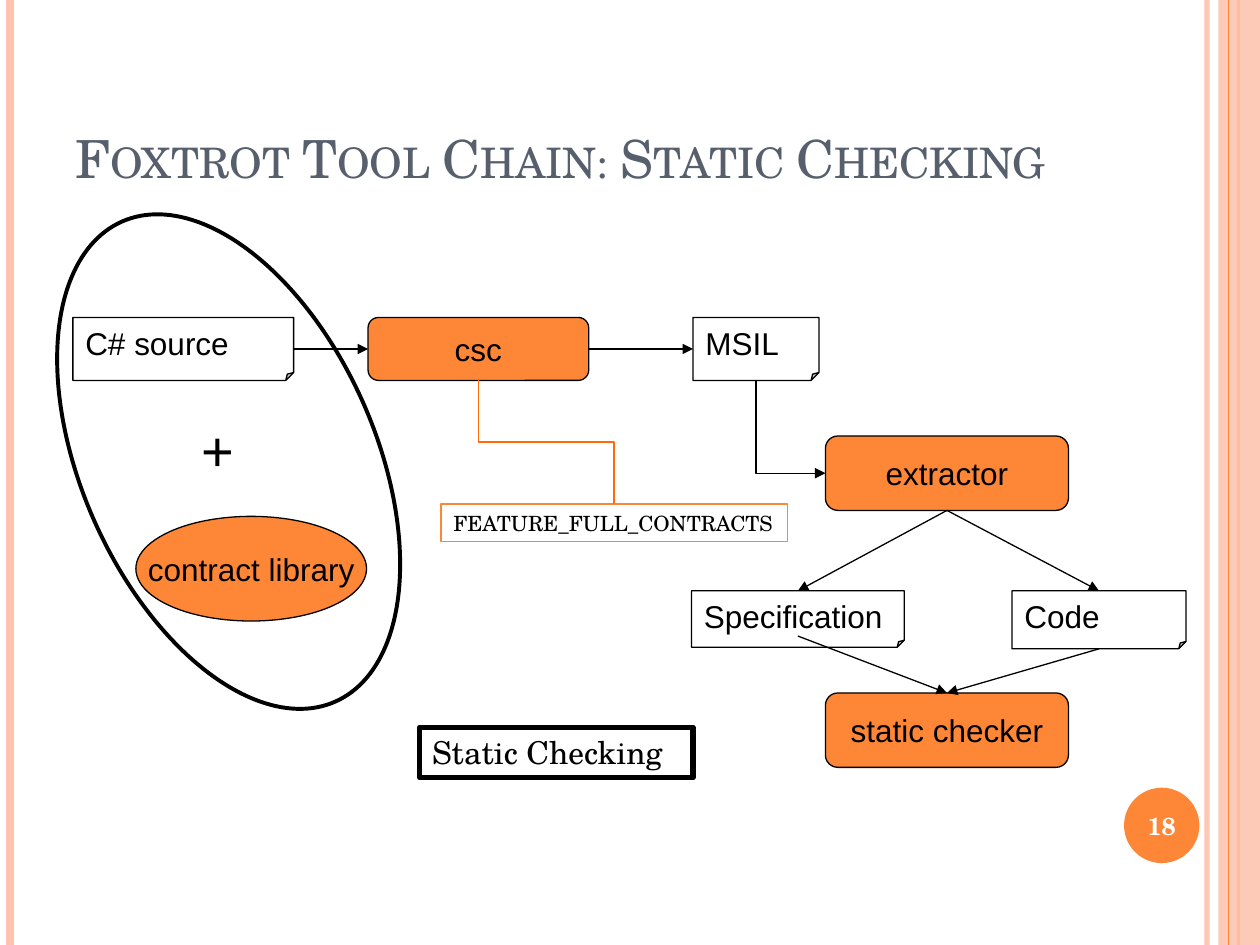
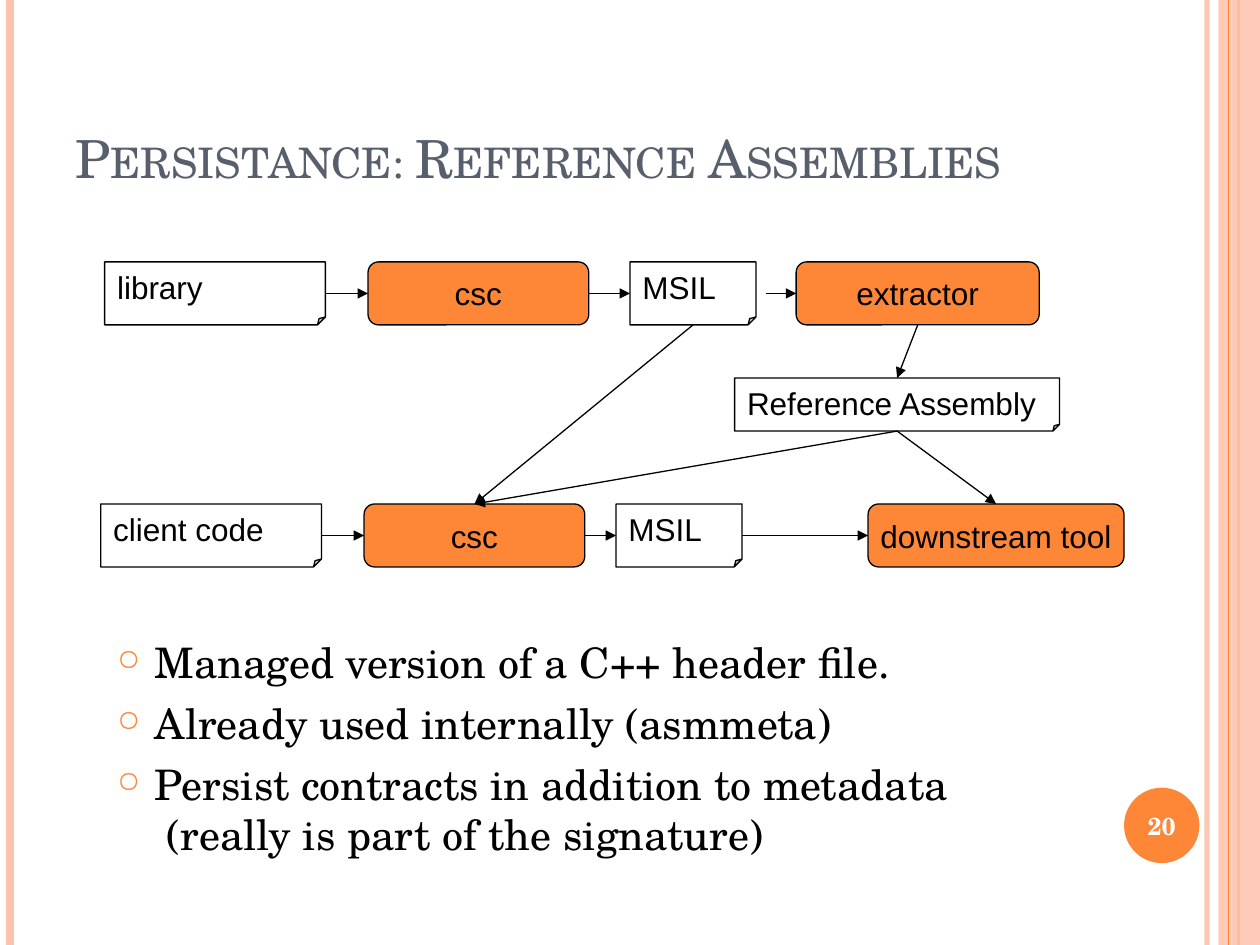
from lxml.etree import SubElement
from pptx import Presentation
from pptx.dml.color import RGBColor
from pptx.enum.shapes import MSO_CONNECTOR as LINE, MSO_SHAPE as SHAPE
from pptx.enum.text import MSO_ANCHOR as ANCHOR, MSO_AUTO_SIZE as FIT, PP_ALIGN as ALIGN
from pptx.oxml.ns import qn
from pptx.util import Cm, Pt

WIDTH, HEIGHT = 25.4, 19.05
ORANGE, PEACH, DEEP_ORANGE = "FE8637", "FEC3AE", "FF6B0A"
SLATE, BLACK, WHITE = "575F6D", "000000", "FFFFFF"
SERIF, SANS = "TeX Gyre Schola", "Arial"

TITLE_AREA = (1.27, 0.76, 20.75, 3.18)
BADGE_AREA = (22.66, 15.88, 1.52, 1.52)
BAND_AREA = (24.56, 0, 0.84, HEIGHT)
BULLET_AREA = (2.11, 12.7, 20.75, 4.88)
LEFT_RULES = [(24.33, PEACH, 3, 93), (0.2, PEACH, 4.5, 100), (24.97, ORANGE, 1.5, 100)]
FRONT_RULES = [(24.77, ORANGE, 0.75, 100)]

STYLES = {
    "file": dict(kind=SHAPE.FOLDED_CORNER, fill=WHITE, corner=0.125),
    "tool": dict(kind=SHAPE.ROUNDED_RECTANGLE, fill=ORANGE, corner=0.167, centred=True),
    "library": dict(kind=SHAPE.OVAL, fill=ORANGE, centred=True),
    "outline": dict(kind=SHAPE.OVAL, weight=2.25, turn=336),
    "sign": dict(kind=SHAPE.RECTANGLE, line=None, size=32),
    "caption": dict(kind=SHAPE.RECTANGLE, weight=3, font=SERIF),
    "flag": dict(kind=SHAPE.RECTANGLE, line=ORANGE, font=SERIF, size=12),
    "badge": dict(kind=SHAPE.OVAL, fill=ORANGE, line=None, font=SERIF, size=14,
                  color=WHITE, bold=True, centred=True),
    "band": dict(kind=SHAPE.RECTANGLE, fill=PEACH, line=None, opacity=87),
}

SIDES = {"left": (0, 0.5), "right": (1, 0.5), "top": (0.5, 0), "bottom": (0.5, 1),
         "low": (0.5, 0.8), "beyond": (1.08, 0.5)}

PAGES = [
    dict(
        title="Foxtrot Tool Chain: Static Checking",
        number="18",
        nodes={
            "code": ("file", "Code", (20.4, 11.91, 3.51, 1.17)),
            "extractor": ("tool", "extractor", (16.64, 8.79, 4.9, 1.5)),
            "specification": ("file", "Specification", (13.94, 11.91, 4.29, 1.14)),
            "checker": ("tool", "static checker", (16.64, 13.97, 4.9, 1.5)),
            "msil": ("file", "MSIL", (13.97, 6.4, 2.54, 1.27)),
            "source": ("file", "C# source", (1.47, 6.4, 4.45, 1.27)),
            "csc": ("tool", "csc", (7.42, 6.4, 4.45, 1.27)),
            "contracts": ("library", "contract library", (2.74, 10.41, 4.65, 2.11)),
            "inputs": ("outline", "", (1.65, 4.01, 5.92, 10.59)),
            "plus": ("sign", "+", (3.81, 8.26, 1.07, 1.6)),
            "caption": ("caption", "Static Checking", (8.46, 14.66, 5.51, 1.02)),
            "flag": ("flag", "FEATURE_FULL_CONTRACTS", (8.89, 10.16, 6.99, 0.76)),
        },
        arrows=[
            ("extractor", "bottom", "code", "top"),
            ("extractor", "bottom", "specification", "top"),
            ("specification", "low", "checker", "top"),
            ("code", "bottom", "checker", "top"),
            ("source", "right", "csc", "left"),
            ("csc", "right", "msil", "left"),
        ],
        elbows=[
            ("msil", "bottom", "extractor", "left", "bentConnector2", BLACK, 0.75, True),
            ("csc", "bottom", "flag", "top", "bentConnector3", DEEP_ORANGE, 1, False),
        ],
        bullets=[],
    ),
    dict(
        title="Persistance: Reference Assemblies",
        number="20",
        nodes={
            "msil": ("file", "MSIL", (12.7, 5.28, 2.54, 1.27)),
            "library": ("file", "library", (2.11, 5.28, 4.45, 1.27)),
            "csc": ("tool", "csc", (7.42, 5.28, 4.45, 1.27)),
            "client msil": ("file", "MSIL", (12.42, 10.16, 2.54, 1.27)),
            "client": ("file", "client code", (2.03, 10.16, 4.45, 1.27)),
            "client csc": ("tool", "csc", (7.34, 10.16, 4.45, 1.27)),
            "downstream": ("tool", "downstream tool", (17.5, 10.16, 5.16, 1.27)),
            "extractor": ("tool", "extractor", (16.05, 5.28, 4.9, 1.27)),
            "reference": ("file", "Reference Assembly", (14.81, 7.62, 6.55, 1.07)),
        },
        arrows=[
            ("library", "right", "csc", "left"),
            ("csc", "right", "msil", "left"),
            ("msil", "beyond", "extractor", "left"),
            ("extractor", "bottom", "reference", "top"),
            ("client", "right", "client csc", "left"),
            ("client csc", "right", "client msil", "left"),
            ("client msil", "right", "downstream", "left"),
            ("reference", "bottom", "client csc", "top"),
            ("reference", "bottom", "downstream", "top"),
            ("msil", "bottom", "client csc", "top"),
        ],
        elbows=[],
        bullets=[
            "Managed version of a C++ header file.",
            "Already used internally (asmmeta)",
            "Persist contracts in addition to metadata\v (really is part of the signature)",
        ],
    ),
]


def rgb(color):
    return RGBColor.from_string(color)


def assign(target, values):
    for name, value in values.items():
        setattr(target, name, value)


def place(shape, area):
    assign(shape, dict(zip(("left", "top", "width", "height"), map(Cm, area))))


def style_text(para, name, size, color, bold=False):
    for span in para.runs:
        assign(span.font, dict(name=name, size=Pt(size), bold=bold))
        span.font.color.rgb = rgb(color)


def set_opacity(shape, percent):
    if percent < 100:
        color = next(shape.element.spPr.iter(qn("a:srgbClr")))
        SubElement(color, qn("a:alpha"), val=str(percent * 1000))


def set_corner(box, share):
    values = next(box.element.spPr.iter(qn("a:avLst")))
    SubElement(values, qn("a:gd"), name="adj", fmla=f"val {round(share * 100000)}")


def add_node(page, style, text, area):
    look = dict(fill=None, line=BLACK, weight=0.75, font=SANS, size=18, color=BLACK,
                bold=False, centred=False, corner=None, turn=0, opacity=100)
    look.update(STYLES[style])
    box = page.shapes.add_shape(look["kind"], *map(Cm, area))
    box.shadow.inherit = False
    box.rotation = look["turn"]
    if look["corner"]:
        set_corner(box, look["corner"])
    if look["fill"]:
        box.fill.solid()
        box.fill.fore_color.rgb = rgb(look["fill"])
        set_opacity(box, look["opacity"])
    else:
        box.fill.background()
    if look["line"]:
        box.line.color.rgb = rgb(look["line"])
        box.line.width = Pt(look["weight"])
    else:
        box.line.fill.background()
    if text:
        centred = look["centred"]
        assign(box.text_frame, dict(
            text=text, word_wrap=not centred, auto_size=FIT.NONE,
            vertical_anchor=ANCHOR.MIDDLE if centred else ANCHOR.TOP))
        para = box.text_frame.paragraphs[0]
        para.alignment = ALIGN.CENTER if centred else ALIGN.LEFT
        style_text(para, look["font"], look["size"], look["color"], look["bold"])


def add_line(page, start, end, color=BLACK, weight=0.75, opacity=100, arrow=False):
    line = page.shapes.add_connector(LINE.STRAIGHT, *map(Cm, start + end))
    line.line.color.rgb = rgb(color)
    line.line.width = Pt(weight)
    set_opacity(line, opacity)
    properties = line.element.spPr
    if arrow:
        SubElement(properties.find(qn("a:ln")), qn("a:tailEnd"), type="triangle")
    SubElement(properties, qn("a:effectLst"))
    return line


def add_elbow(page, start, end, preset, color, weight, arrow):
    line = add_line(page, start, end, color, weight, arrow=arrow)
    (x1, y1), (x2, y2) = start, end
    across, down = x2 - x1, y2 - y1
    place(line, ((x1 + x2 - down) / 2, (y1 + y2 - across) / 2, down, across))
    properties = line.element.spPr
    properties.find(qn("a:prstGeom")).set("prst", preset)
    frame = properties.find(qn("a:xfrm"))
    frame.set("rot", "5400000")
    frame.set("flipV", "1")


def add_rules(page, rules):
    for x, color, weight, opacity in rules:
        add_line(page, (x, 0), (x, HEIGHT), color, weight, opacity)


def add_frame(page, title, number):
    add_rules(page, LEFT_RULES)
    add_node(page, "band", "", BAND_AREA)
    add_rules(page, FRONT_RULES)
    add_node(page, "badge", number, BADGE_AREA)
    heading = page.shapes.title
    place(heading, TITLE_AREA)
    assign(heading.text_frame, dict(text=title, vertical_anchor=ANCHOR.BOTTOM,
                                    word_wrap=True, auto_size=FIT.NONE))
    para = heading.text_frame.paragraphs[0]
    para.alignment = ALIGN.LEFT
    style_text(para, SERIF, 30, SLATE)
    para.runs[0]._r.get_or_add_rPr().set("cap", "small")


def add_bullets(page, bullets):
    box = page.shapes.add_textbox(*map(Cm, BULLET_AREA))
    box.text_frame.word_wrap = True
    for index, text in enumerate(bullets):
        para = box.text_frame.paragraphs[0] if index == 0 else box.text_frame.add_paragraph()
        para.text = text
        if index:
            para.space_before = Pt(6)
        properties = para._p.get_or_add_pPr()
        properties.set("marL", str(Cm(0.76)))
        properties.set("indent", str(-Cm(0.76)))
        SubElement(SubElement(properties, qn("a:buClr")), qn("a:srgbClr"), val=ORANGE)
        SubElement(properties, qn("a:buSzPct"), val="70000")
        SubElement(properties, qn("a:buChar"), char="○")
        style_text(para, SERIF, 24, BLACK)


def anchor(nodes, name, side):
    left, top, width, height = nodes[name][2]
    across, down = SIDES[side]
    return left + across * width, top + down * height


def add_page(deck, content):
    page = deck.slides.add_slide(deck.slide_layouts[5])
    add_frame(page, content["title"], content["number"])
    nodes = content["nodes"]
    for style, text, area in nodes.values():
        add_node(page, style, text, area)
    for source, exit_side, target, entry_side in content["arrows"]:
        add_line(page, anchor(nodes, source, exit_side),
                 anchor(nodes, target, entry_side), arrow=True)
    for source, exit_side, target, entry_side, *look in content["elbows"]:
        add_elbow(page, anchor(nodes, source, exit_side),
                  anchor(nodes, target, entry_side), *look)
    if content["bullets"]:
        add_bullets(page, content["bullets"])


def main():
    deck = Presentation()
    assign(deck, dict(slide_width=Cm(WIDTH), slide_height=Cm(HEIGHT)))
    for content in PAGES:
        add_page(deck, content)
    deck.save("out.pptx")


if __name__ == "__main__":
    main()
